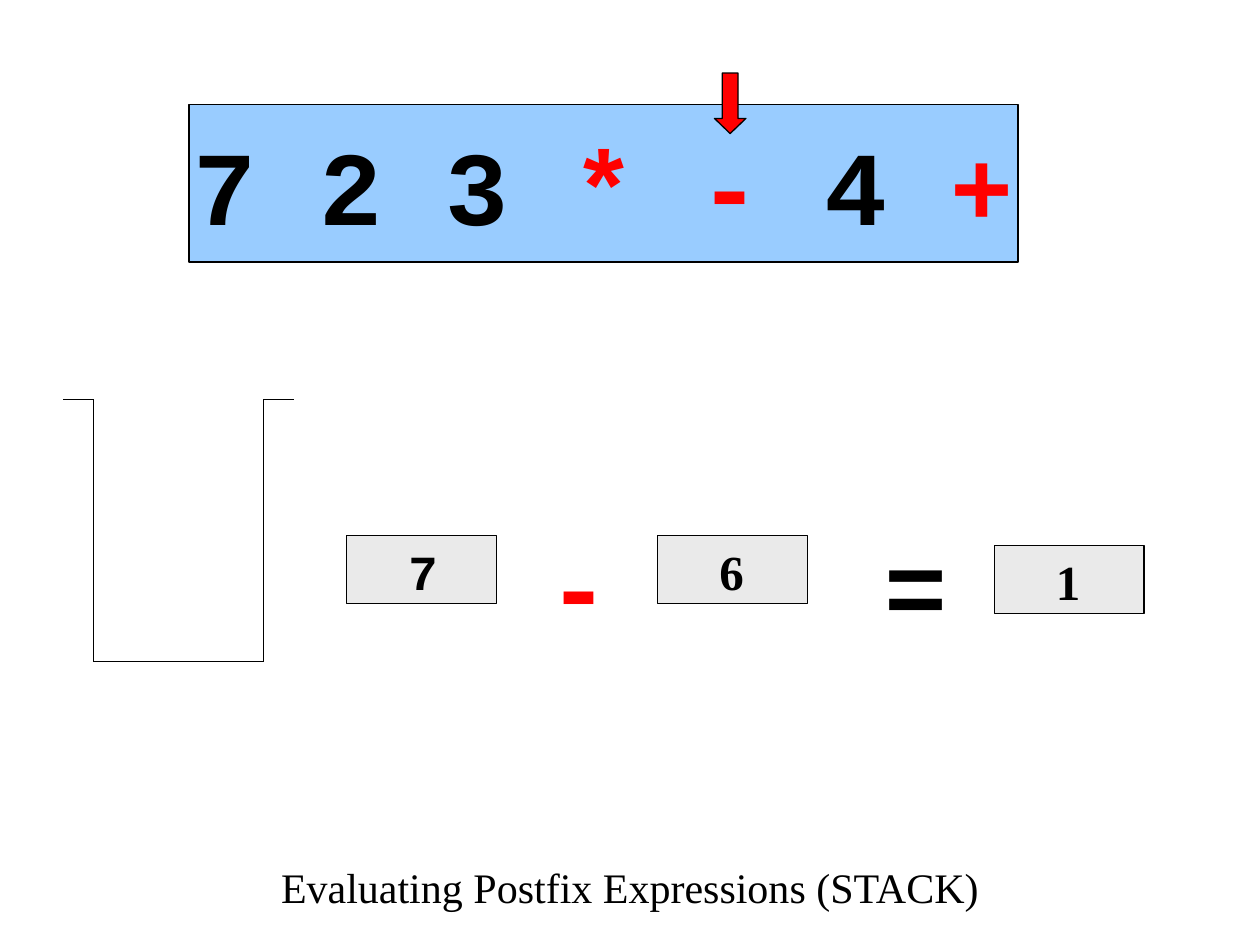
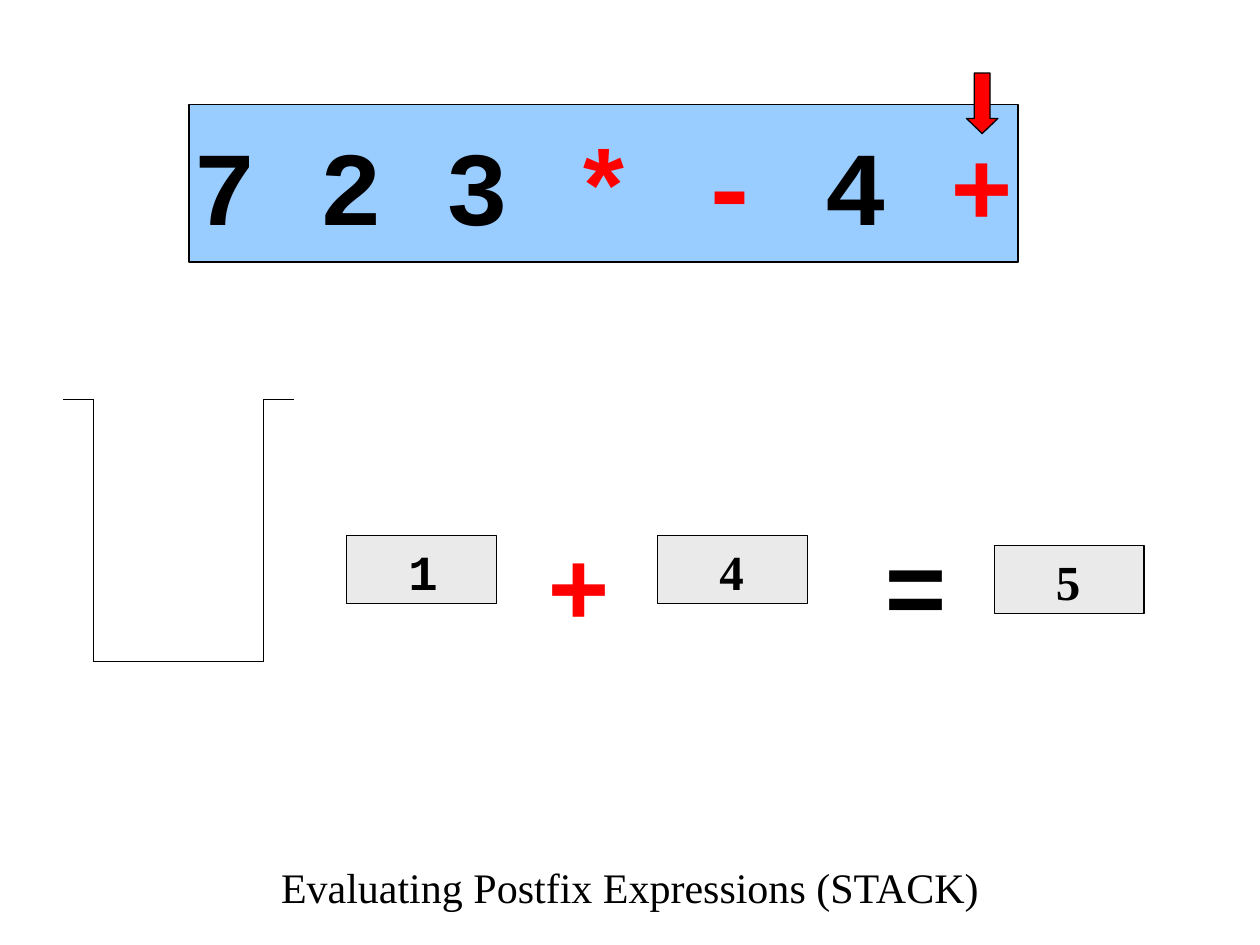
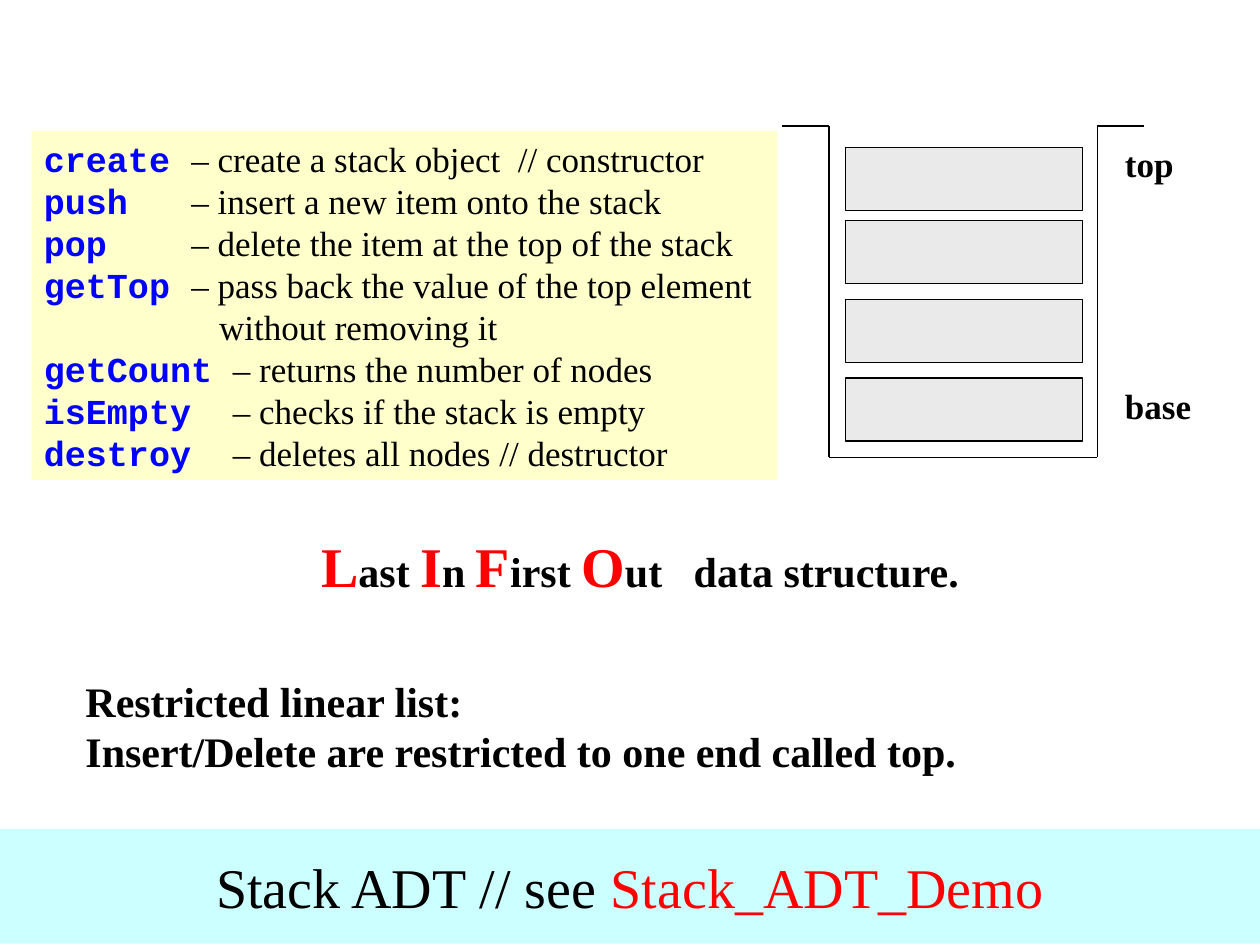
"""Build three slides on stacks and postfix evaluation."""
from itertools import pairwise

from lxml import etree
from pptx import Presentation
from pptx import util as u
from pptx.dml.color import RGBColor
from pptx.enum import shapes, text
from pptx.oxml.ns import qn

PX = 9144
LEADING = 1.2

BLACK = RGBColor(0x00, 0x00, 0x00)
WHITE = RGBColor(0xFF, 0xFF, 0xFF)
RED = RGBColor(0xFF, 0x00, 0x00)
BLUE = RGBColor(0x00, 0x00, 0xFF)
SKY = RGBColor(0x99, 0xCC, 0xFF)
GREY = RGBColor(0xEA, 0xEA, 0xEA)
CREAM = RGBColor(0xFF, 0xFF, 0xCC)
AQUA = RGBColor(0xCC, 0xFF, 0xFF)

SERIF = "Times New Roman"
MONO = "Courier New"
TOP, MIDDLE = text.MSO_ANCHOR.TOP, text.MSO_ANCHOR.MIDDLE
LEFT, CENTER = text.PP_ALIGN.LEFT, text.PP_ALIGN.CENTER
RECT = shapes.MSO_SHAPE.RECTANGLE

OPERATIONS = [
    ("create", "create a stack object  // constructor", 117),
    ("push", "insert a new item onto the stack", 117),
    ("pop", "delete the item at the top of the stack", 117),
    ("getTop", "pass back the value of the top element", 117),
    (None, "without removing it", 139),
    ("getCount", "returns the number of nodes", 150),
    ("isEmpty", "checks if the stack is empty", 150),
    ("destroy", "deletes all nodes // destructor", 150),
]


def px(*values):
    """Turn px lengths into EMU."""
    return [u.Emu(v * PX) for v in values]


def write(p, words, size=24, font=SERIF, color=BLACK, bold=False):
    """Append one formatted run to a paragraph."""
    r = p.add_run()
    r.text = words
    r.font.size, r.font.name, r.font.bold = u.Pt(size), font, bold
    r.font.color.rgb = color
    p.line_spacing = u.Pt(max(run.font.size.pt for run in p.runs) * LEADING)


def add_frame(sp, anchor=TOP, align=LEFT, wrap=True, inset=10):
    """Prepare the text frame of a shape and return its first paragraph."""
    tf = sp.text_frame
    tf.word_wrap, tf.vertical_anchor = wrap, anchor
    tf.margin_left, tf.margin_right, tf.margin_top, tf.margin_bottom = px(inset, 10, 5, 5)
    tf.paragraphs[0].alignment = align
    return tf.paragraphs[0]


def add_shape(s, box, fill, kind=RECT, outlined=True):
    """Add a filled preset shape."""
    sp = s.shapes.add_shape(kind, *px(*box))
    sp.shadow.inherit = False
    sp.fill.solid()
    sp.fill.fore_color.rgb = fill
    if outlined:
        sp.line.color.rgb, sp.line.width = BLACK, u.Pt(0.75)
    else:
        sp.line.fill.background()
    return sp


def add_label(s, box, words, **style):
    """Add a text box with one run."""
    write(add_frame(s.shapes.add_textbox(*px(*box))), words, **style)


def add_value(s, left, top, words, font=SERIF):
    """Add a grey cell with a number in it."""
    p = add_frame(add_shape(s, (left, top, 119, 54), GREY), inset=49)
    write(p, words, size=28, font=font, bold=True)


def add_stack(s, left, top, right, bottom, lip):
    """Draw the open stack outline with a lip on each side."""
    points = [(left, top), (left + lip, top), (left + lip, bottom),
              (right - lip, bottom), (right - lip, top), (right, top)]
    for start, end in pairwise(points):
        c = s.shapes.add_connector(shapes.MSO_CONNECTOR.STRAIGHT, *px(*start, *end))
        c.line.color.rgb, c.line.width = BLACK, u.Pt(0.75)
        etree.SubElement(c._element.spPr, qn("a:effectLst"))


def add_footer(s, runs, fill=WHITE, size=24):
    """Add the title band at the foot of the slide."""
    sp = add_shape(s, (0, 658, 1000, 91), fill, outlined=False)
    p = add_frame(sp, MIDDLE, CENTER, wrap=False)
    for words, color in runs:
        write(p, words, size=size, color=color)


def add_tab(p, position):
    """Give a paragraph one left tab stop."""
    tabs = etree.SubElement(p._p.get_or_add_pPr(), qn("a:tabLst"))
    etree.SubElement(tabs, qn("a:tab"), pos=str(position * PX), algn="l")


def add_operations(s):
    """List the stack operations in a cream panel."""
    sp = add_shape(s, (25, 104, 592, 277), CREAM, outlined=False)
    first = add_frame(sp)
    for i, (name, meaning, position) in enumerate(OPERATIONS):
        p = sp.text_frame.add_paragraph() if i else first
        p.alignment = LEFT
        if name:
            add_tab(p, position)
            write(p, name + "\t", size=20, font=MONO, color=BLUE, bold=True)
            write(p, "– " + meaning, size=20)
        else:
            p._p.get_or_add_pPr().set("marL", str(position * PX))
            write(p, meaning, size=20)


def add_lifo(s):
    """Explain the last-in-first-out rule."""
    sp = s.shapes.add_textbox(*px(58, 417, 900, 204))
    p = add_frame(sp, align=CENTER)
    for initial, rest in [("L", "ast "), ("I", "n "), ("F", "irst "),
                          ("O", "ut   data structure.")]:
        write(p, initial, size=32, color=RED, bold=True)
        write(p, rest, bold=True)
    for words, before in [("Restricted linear list:", 43.8),
                          ("Insert/Delete are restricted to one end called top.", 0)]:
        p = sp.text_frame.add_paragraph()
        p.space_before = u.Pt(before)
        write(p, words, bold=True)


def add_postfix_slide(prs, arrow_left, first, operator, second, result):
    """Add one step of the postfix evaluation."""
    s = prs.slides.add_slide(prs.slide_layouts[6])
    p = add_frame(add_shape(s, (150, 83, 658, 125), SKY), MIDDLE, CENTER, wrap=False)
    for words, color in [("7 2 3 ", BLACK), ("* -", RED), (" 4 ", BLACK), ("+", RED)]:
        write(p, words, size=60, font=MONO, color=color, bold=True)
    arrow = add_shape(s, (arrow_left, 58, 25, 48), RED, shapes.MSO_SHAPE.DOWN_ARROW)
    arrow.adjustments[1] = 0.48
    add_stack(s, 50, 317, 233, 525, 24)
    add_value(s, 522, 425, second)
    add_value(s, 275, 425, first, font=MONO)
    add_value(s, 789, 433, result)
    for left, sign, color in [(425, operator, RED), (692, "=", BLACK)]:
        add_label(s, (left, 408, 75, 110), sign, size=60, font=MONO, color=color, bold=True)
    add_footer(s, [("Evaluating Postfix Expressions (STACK)", BLACK)])


def add_adt_slide(prs):
    """Add the summary of the stack type."""
    s = prs.slides.add_slide(prs.slide_layouts[6])
    add_stack(s, 621, 100, 908, 363, 37)
    for top in (117, 175, 238, 300):
        add_shape(s, (671, top, 188, 50), GREY)
    for top, words in [(108, "top"), (300, "base")]:
        add_label(s, (883, top, 100, 50), words, size=20, bold=True)
    add_lifo(s)
    add_operations(s)
    add_footer(s, [("Stack ADT // see ", BLACK), ("Stack_ADT_Demo", RED)], AQUA, 32)


def main():
    """Build and save the presentation."""
    prs = Presentation()
    prs.slide_width, prs.slide_height = px(1000, 750)
    add_postfix_slide(prs, 567, "7", "-", "6", "1")
    add_postfix_slide(prs, 767, "1", "+", "4", "5")
    add_adt_slide(prs)
    prs.save("out.pptx")


if __name__ == "__main__":
    main()
